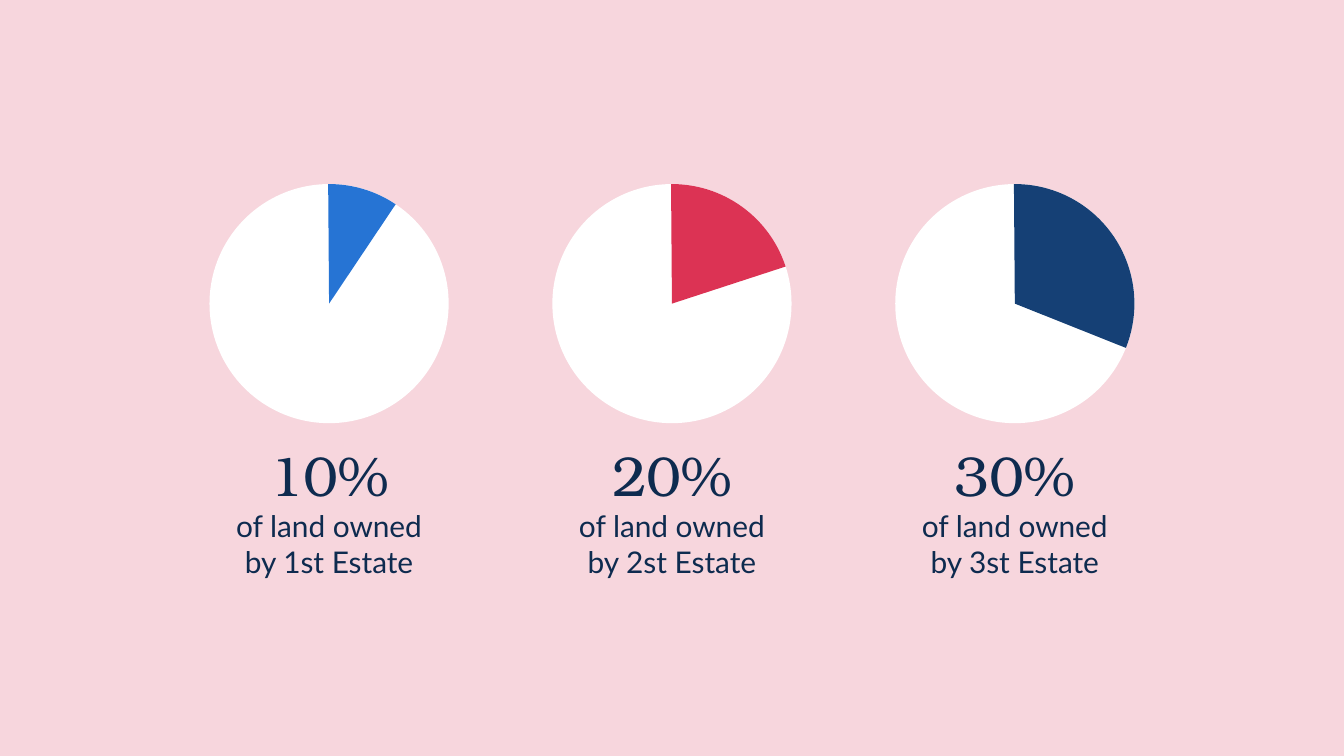
from pptx import Presentation
from pptx.dml.color import RGBColor
from pptx.enum.shapes import MSO_SHAPE as SHAPE
from pptx.enum.text import MSO_ANCHOR as ANCHOR, PP_ALIGN as ALIGN
from pptx.util import Cm, Pt

COLORS = {
    "background": "F7D6DD",
    "disc": "FFFFFF",
    "text": "0E2B4F",
    "first": "2674D4",
    "second": "DC3354",
    "third": "154075",
}
ESTATES = [
    ("10%", "of land owned by 1st Estate", "first", 303.83),
    ("20%", "of land owned by 2st Estate", "second", 341.93),
    ("30%", "of land owned by 3st Estate", "third", 21.73),
]
START_ANGLE = 269.58
ADJUSTMENT_PER_DEGREE = 0.6
FIRST_CENTER, STEP = 6.22, 6.48
DISC_TOP, DISC_SIZE = 3.48, 4.52


def rgb(name):
    return RGBColor.from_string(COLORS[name])


def add_round(shapes, kind, center, color):
    sp = shapes.add_shape(kind, Cm(center - DISC_SIZE / 2), Cm(DISC_TOP),
                          Cm(DISC_SIZE), Cm(DISC_SIZE))
    sp.shadow.inherit = False
    sp.fill.solid()
    sp.fill.fore_color.rgb = rgb(color)
    sp.line.fill.background()
    return sp


def add_pie(slide, center, color, end_angle):
    group = slide.shapes.add_group_shape()
    add_round(group.shapes, SHAPE.OVAL, center, "disc")
    wedge = add_round(group.shapes, SHAPE.PIE, center, color)
    for i, angle in enumerate((START_ANGLE, end_angle)):
        wedge.adjustments[i] = angle * ADJUSTMENT_PER_DEGREE


def add_label(slide, text, center, top, width, height, font, size, anchor):
    sp = slide.shapes.add_textbox(Cm(center - width / 2), Cm(top),
                                  Cm(width), Cm(height))
    tf = sp.text_frame
    tf.word_wrap = True
    tf.vertical_anchor = anchor
    tf.margin_left = tf.margin_right = Cm(0.25)
    tf.margin_top = tf.margin_bottom = Cm(0.25)
    tf.text = text
    p = tf.paragraphs[0]
    p.alignment = ALIGN.CENTER
    r = p.runs[0]
    r.font.name = font
    r.font.size = Pt(size)
    r.font.color.rgb = rgb("text")


def main():
    prs = Presentation()
    prs.slide_width, prs.slide_height = Cm(25.4), Cm(14.29)
    slide = prs.slides.add_slide(prs.slide_layouts[6])
    slide.background.fill.solid()
    slide.background.fill.fore_color.rgb = rgb("background")

    for i, (share, caption, color, end_angle) in enumerate(ESTATES):
        center = FIRST_CENTER + i * STEP
        add_label(slide, share, center, 8.18, 5.82, 1.57,
                  "TeX Gyre Bonum", 30, ANCHOR.MIDDLE)
        add_label(slide, caption, center, 9.35, DISC_SIZE, 2.44,
                  "Lato", 16, ANCHOR.TOP)
        add_pie(slide, center, color, end_angle)

    prs.save("out.pptx")


if __name__ == "__main__":
    main()
